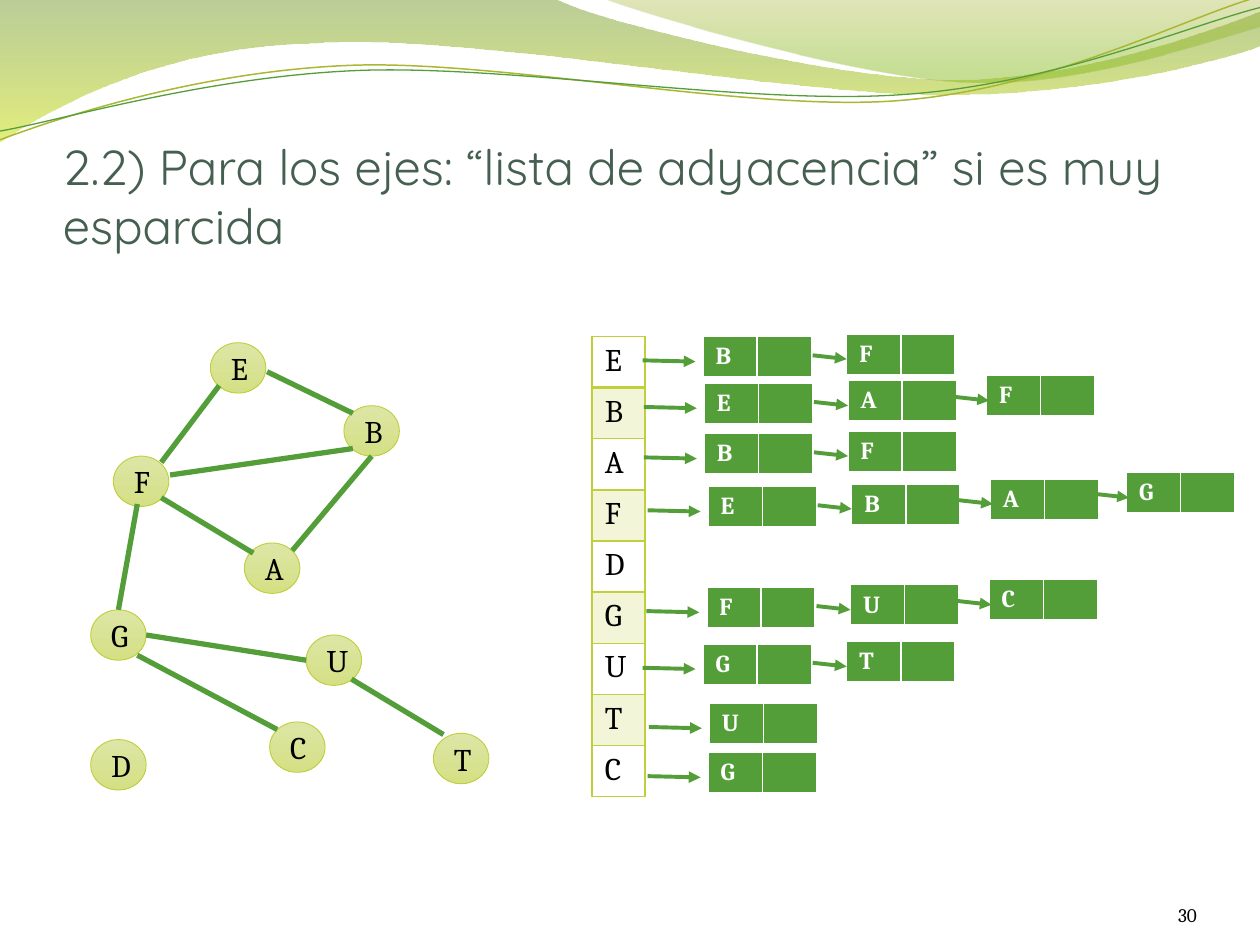
import math

from lxml import etree
from pptx import Presentation
from pptx import util as u
from pptx.dml.color import RGBColor
from pptx.enum import shapes, text
from pptx.oxml import ns

GREEN, LIME, WHITE, BLACK = "549E39", "C0CF3A", "FFFFFF", "000000"
TITLE = "2.2) Para los ejes: “lista de adyacencia” si es muy esparcida"
PAGE = "30"

# Header waves: start point, then lines (2 numbers) and Bezier curves (6 numbers)
WAVES = [
    dict(steps=[(0, 0), (4.4, -0.01), (4.75, 0.17, 6.63, 0.63, 7.58, 0.63),
                (8.53, 0.63, 9.58, 0.26, 10, 0.09), (10.01, 0.36),
                (9.83, 0.44, 8.69, 0.76, 7.46, 0.75), (6.22, 0.75, 3.81, 0.28, 2.57, 0.34),
                (1.29, 0.36, 0.46, 0.83, -0.01, 1.13)],
         stops=[(0, "69921C", 45), (1, "CCE10F", 55)]),
    dict(steps=[(4.79, -0.01), (5.09, 0.11, 6.82, 0.62, 7.68, 0.65),
                (8.55, 0.69, 9.61, 0.32, 10, 0.21), (10, 0)],
         stops=[(0, "9BAA1A", 30), (0.8, "81BA16", 45)]),
    dict(steps=[(0, 1.11), (0.48, 0.93, 1.57, 0.57, 2.76, 0.52),
                (3.95, 0.47, 5.92, 0.89, 7.12, 0.8), (8.33, 0.71, 9.38, 0.15, 9.97, -0.02)],
         line=("A9B733", 0.85), tilt=-2.7),
    dict(steps=[(0, 1.04), (0.47, 0.96, 1.63, 0.61, 2.83, 0.56),
                (4.02, 0.51, 5.97, 0.84, 7.17, 0.75), (8.36, 0.67, 9.41, 0.21, 10, 0.06)],
         line=(GREEN, 0.75), tilt=-2.7),
]
WAVE_CENTER = (4.99, 0.58)

# Graph: top left corner of each vertex, and the ends of each edge
VERTICES = {"C": (2.14, 5.73), "A": (1.94, 4.31), "B": (2.73, 3.22), "T": (3.44, 5.82),
            "U": (2.43, 5.04), "E": (1.67, 2.72), "F": (0.9, 3.62), "G": (0.72, 4.84),
            "D": (0.72, 5.87)}
EDGES = [(2.32, 4.37, 2.95, 3.62), (1.35, 3.77, 2.8, 3.56), (1.28, 3.67, 1.74, 3.06),
         (2.01, 4.39, 1.28, 3.95), (2.8, 3.28, 2.12, 2.95), (3.52, 5.83, 2.79, 5.39),
         (0.94, 4.84, 1.09, 4), (2.2, 5.79, 1.09, 5.2), (2.43, 5.24, 1.16, 5.04)]

# Adjacency lists: vertex, its neighbours, position of the first list node
ADJACENCY = [("E", "BF", 5.58, 2.67), ("B", "EAF", 5.59, 3.04), ("A", "BF", 5.59, 3.44),
             ("F", "EBAG", 5.62, 3.86), ("D", "", 0, 0), ("G", "FUC", 5.61, 4.66),
             ("U", "GT", 5.58, 5.11), ("T", "U", 5.63, 5.58), ("C", "G", 5.62, 5.97)]
NODE_OFFSETS = [(0, 0), (1.14, -0.02), (2.24, -0.06), (3.32, -0.11)]


def color(value):
    return RGBColor.from_string(value)


def write(frame, content, size=18, font="Cambria", fill=BLACK, bold=False, align=None):
    paragraph = frame.paragraphs[0]
    paragraph.alignment = align
    run = paragraph.add_run()
    run.text = content
    run.font.size, run.font.name, run.font.bold = u.Pt(size), font, bold
    run.font.color.rgb = color(fill)


def add_textbox(slide, box, content, insets, **style):
    frame = slide.shapes.add_textbox(*map(u.Inches, box)).text_frame
    frame.word_wrap = True
    frame.vertical_anchor = text.MSO_ANCHOR.BOTTOM
    frame.margin_left, frame.margin_top, frame.margin_right, frame.margin_bottom = map(
        u.Inches, insets)
    write(frame, content, **style)


def set_alpha(parent, percent):
    for element in parent.iter(ns.qn("a:srgbClr")):
        etree.SubElement(element, ns.qn("a:alpha"), val=str(percent * 1000))


def set_gradient(fill, stops):
    fill.gradient()
    fill.gradient_angle = 270
    for stop, (position, value, alpha) in zip(fill.gradient_stops, stops):
        stop.position = position
        stop.color.rgb = color(value)
        if alpha < 100:
            set_alpha(stop._gs, alpha)


def turn(x, y, degrees):
    angle = math.radians(degrees)
    dx, dy = x - WAVE_CENTER[0], y - WAVE_CENTER[1]
    return (WAVE_CENTER[0] + dx * math.cos(angle) - dy * math.sin(angle),
            WAVE_CENTER[1] + dx * math.sin(angle) + dy * math.cos(angle))


def add_wave(slide, steps, stops=None, line=None, tilt=0):
    points = [tuple(map(u.Inches, turn(*step[i:i + 2], -tilt)))
              for step in steps for i in range(0, len(step), 2)]
    builder = slide.shapes.build_freeform(*points[0])
    builder.add_line_segments(points[1:], close=stops is not None)
    shape = builder.convert_to_shape()
    shape.rotation = tilt
    # Join the three segments of each curve into one Bezier segment
    segments = iter(list(shape._element.iter(ns.qn("a:lnTo"))))
    for step in steps[1:]:
        segment = next(segments)
        if len(step) == 6:
            segment.addprevious(curve := etree.Element(ns.qn("a:cubicBezTo")))
            for part in (segment, next(segments), next(segments)):
                curve.append(part[0])
                part.getparent().remove(part)
    shape.shadow.inherit = False
    if stops:
        set_gradient(shape.fill, stops)
        shape.line.fill.background()
    else:
        shape.fill.background()
        shape.line.color.rgb, shape.line.width = color(line[0]), u.Pt(line[1])


def add_line(slide, ends, width, arrow=False):
    connector = slide.shapes.add_connector(shapes.MSO_CONNECTOR.STRAIGHT, *map(u.Inches, ends))
    connector.line.color.rgb, connector.line.width = color(GREEN), u.Pt(width)
    if arrow:
        etree.SubElement(connector.line._get_or_add_ln(), ns.qn("a:tailEnd"), type="triangle")
    etree.SubElement(connector._element.spPr, ns.qn("a:effectLst"))


def add_vertex(slide, name, x, y):
    shape = slide.shapes.add_shape(shapes.MSO_SHAPE.OVAL, *map(u.Inches, (x, y, 0.44, 0.4)))
    shape.shadow.inherit = False
    set_gradient(shape.fill, [(0, "DDE6A6", 100), (1, "D4E084", 100)])
    shape.line.color.rgb, shape.line.width = color(LIME), u.Pt(0.5)
    frame = shape.text_frame
    frame.word_wrap = True
    frame.vertical_anchor = text.MSO_ANCHOR.MIDDLE
    write(frame, name, align=text.PP_ALIGN.CENTER)


def set_borders(cell, value, bottom=1):
    properties = cell._tc.get_or_add_tcPr()
    for i, (side, width) in enumerate([("L", 1), ("R", 1), ("T", 1), ("B", bottom)]):
        border = etree.Element(ns.qn("a:ln" + side), w=str(u.Pt(width)))
        fill = etree.SubElement(border, ns.qn("a:solidFill"))
        etree.SubElement(fill, ns.qn("a:srgbClr"), val=value)
        properties.insert(i, border)


def add_table(slide, rows, columns, x, y, column_width, row_height):
    table = slide.shapes.add_table(rows, columns, *map(u.Inches, (
        x, y, columns * column_width, rows * row_height))).table
    table.first_row = table.horz_banding = False
    return table


def add_list_node(slide, name, x, y):
    table = add_table(slide, 1, 2, x, y, 0.43, 0.31)
    for cell, content in zip(table.iter_cells(), (name, "")):
        cell.fill.solid()
        cell.fill.fore_color.rgb = color(GREEN)
        set_borders(cell, WHITE, bottom=3)
        if content:
            write(cell.text_frame, content, size=14, fill=WHITE, bold=True)
        else:  # keeps the empty cell as low as its neighbour
            etree.SubElement(cell.text_frame.paragraphs[0]._p, ns.qn("a:endParaRPr"), sz="1400")


def add_vertex_table(slide):
    table = add_table(slide, len(ADJACENCY), 1, 4.7, 2.67, 0.42, 0.406)
    for i, (cell, entry) in enumerate(zip(table.iter_cells(), ADJACENCY)):
        if i % 2:
            cell.fill.solid()
            cell.fill.fore_color.rgb = color(LIME)
            set_alpha(cell._tc.tcPr, 20)
        else:
            cell.fill.background()
        set_borders(cell, LIME, bottom=1 if i else 2)
        write(cell.text_frame, entry[0])


def main():
    presentation = Presentation()
    presentation.slide_width, presentation.slide_height = u.Inches(10), u.Inches(7.5)
    slide = presentation.slides.add_slide(presentation.slide_layouts[6])

    # Header, title and page number
    for wave in WAVES:
        add_wave(slide, **wave)
    add_textbox(slide, (0.5, 0.77, 9, 1.25), TITLE, (0, 0.05, 0, 0),
                size=28, font="Quicksand", fill="455F51")
    add_textbox(slide, (8.67, 6.95, 0.83, 0.4), PAGE, (0, 0, 0, 0),
                size=11, align=text.PP_ALIGN.RIGHT)

    # Adjacency lists
    add_vertex_table(slide)
    for _, neighbours, left, top in ADJACENCY:
        for i, (name, (dx, dy)) in enumerate(zip(neighbours, NODE_OFFSETS)):
            x, y = left + dx, top + dy
            add_list_node(slide, name, x, y)
            tip = x if i < 2 else x + 0.02
            ends = (tip - 0.27, y + 0.17, tip, y + 0.2) if i else (
                x - 0.48, y + 0.19, x - 0.06, y + 0.2)
            add_line(slide, ends, 2.25, arrow=True)

    # Graph
    for name, (x, y) in VERTICES.items():
        add_vertex(slide, name, x, y)
    for ends in EDGES:
        add_line(slide, ends, 3)
    presentation.save("out.pptx")


if __name__ == "__main__":
    main()
